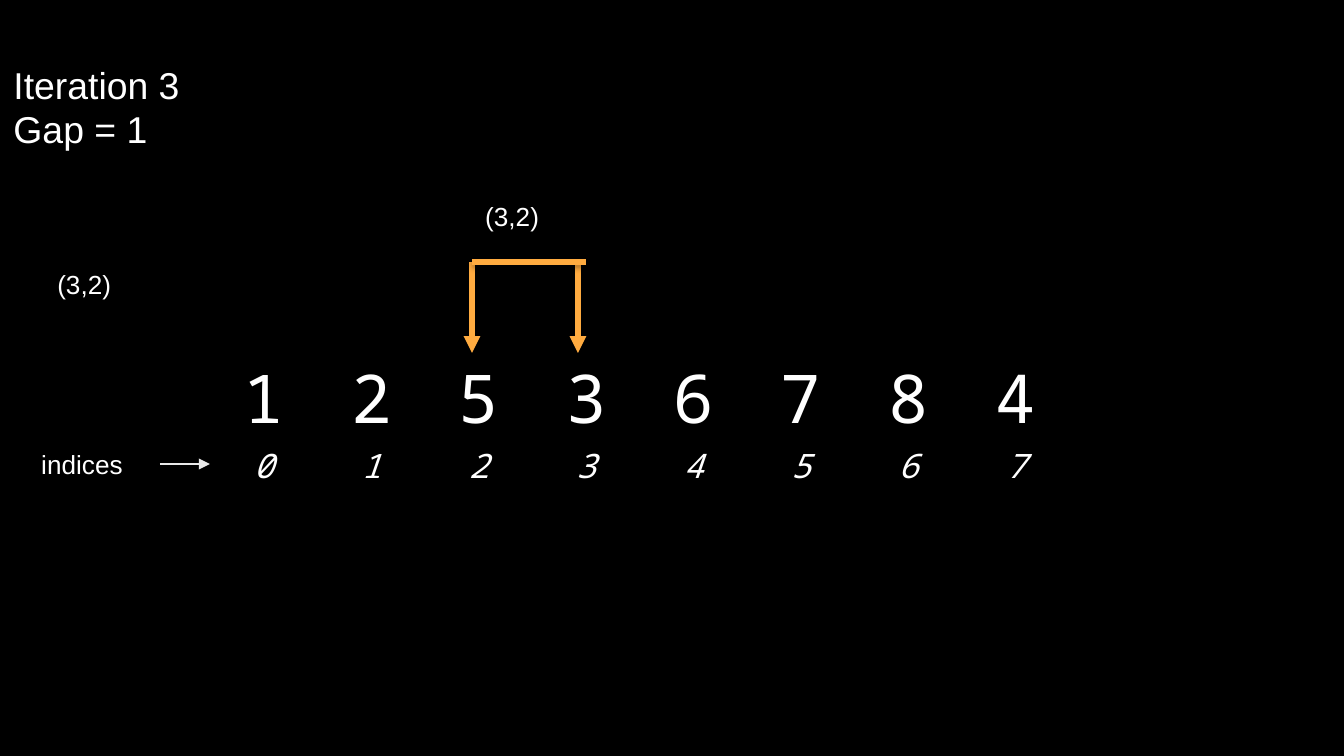
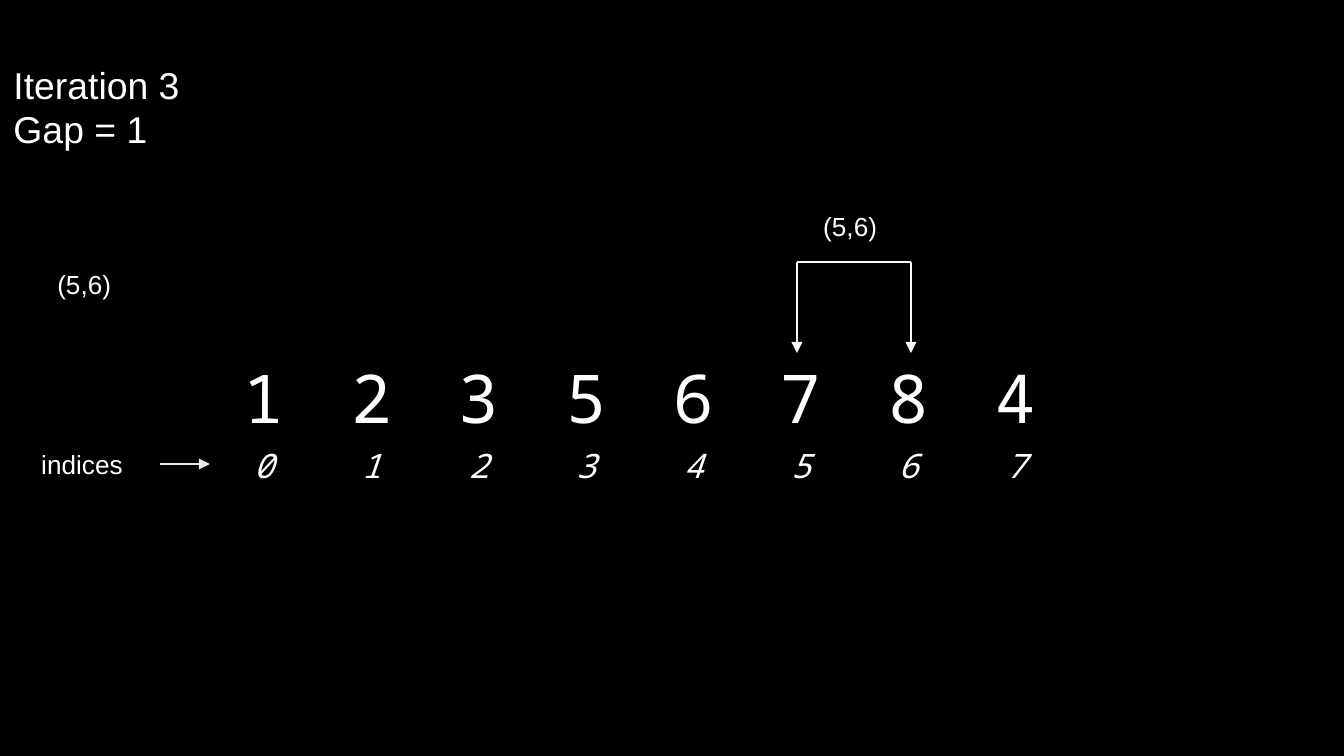
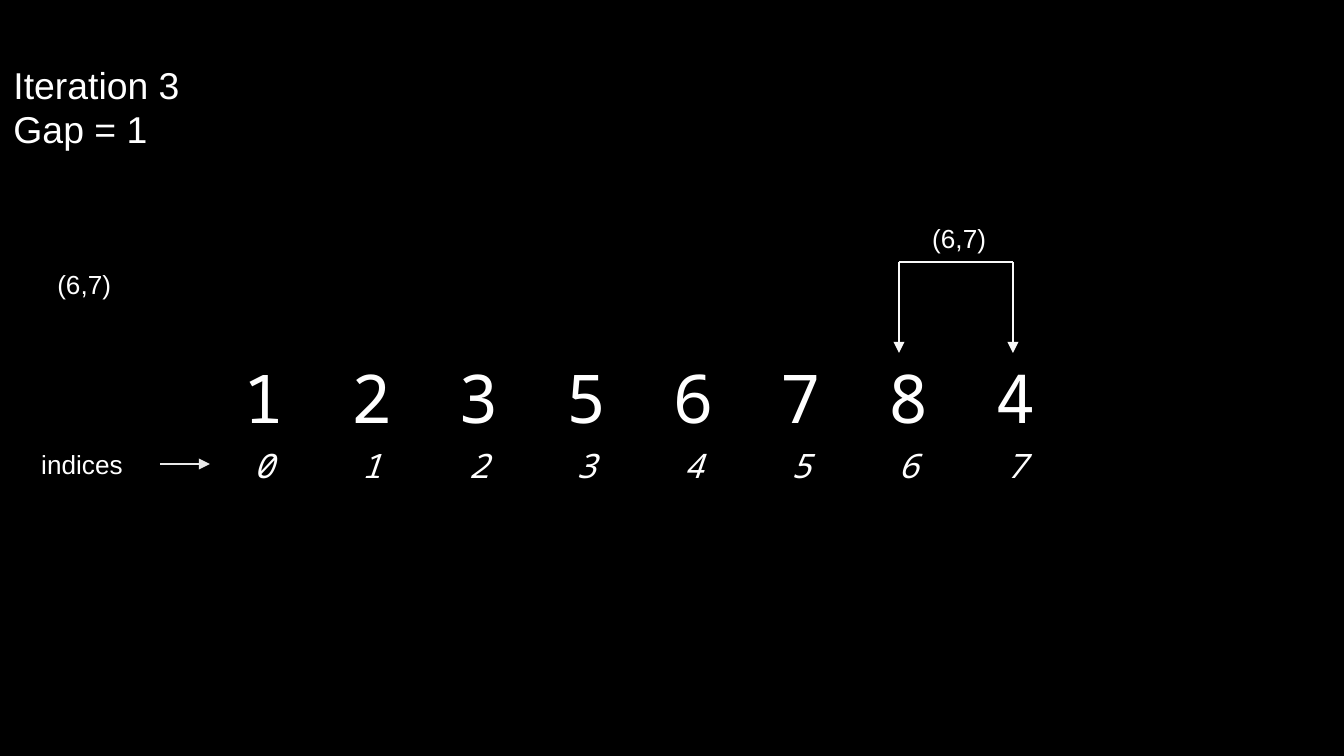
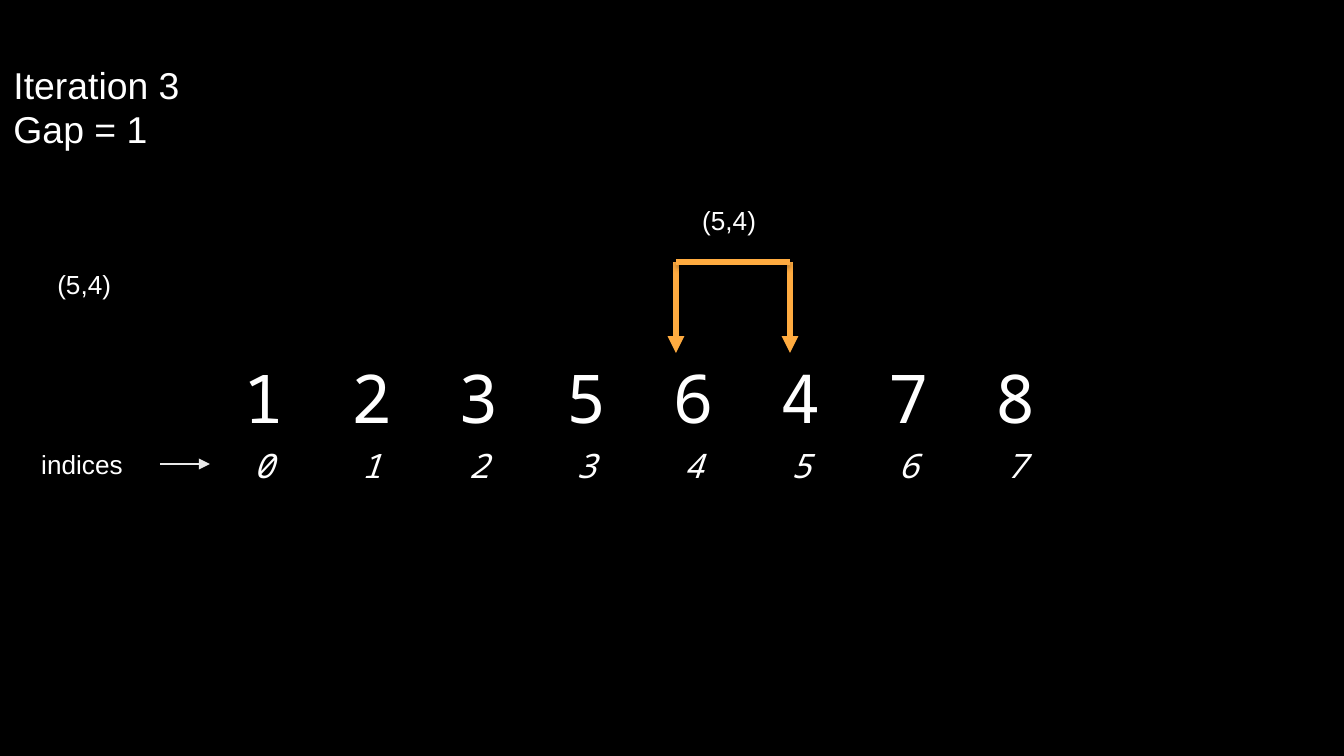
from dataclasses import dataclass

from lxml import etree
from pptx import Presentation
from pptx.dml.color import RGBColor
from pptx.enum import shapes, text
from pptx.oxml import ns
from pptx.util import Emu, Pt

EMU_PER_PX = 914400 / 134.4
PLAIN_TABLE_STYLE = "{2D5ABB26-0587-4C30-8999-92F81FD0307C}"
TITLE_ONLY = 5


@dataclass(frozen=True)
class Theme:
    background: str = "000000"
    ink: str = "FFFFFF"
    pointer: str = "E9E9E9"
    compare: str = "F9F9F9"
    swap: str = "FFAB40"
    sans: str = "Arial"
    mono: str = "Noto Sans Mono"
    title_size: int = 20
    label_size: int = 14
    value_size: int = 36
    index_size: int = 18
    thin: float = 0.75
    thick: float = 3


@dataclass(frozen=True)
class Frame:
    left: int
    top: int
    width: int
    height: int


@dataclass(frozen=True)
class Row:
    frame: Frame
    size: int
    italic: bool = False


@dataclass(frozen=True)
class Step:
    values: str
    pair: str
    left: int
    right: int
    bar_end: int
    label_left: int
    label_top: int
    swapped: bool = False


THEME = Theme()
TITLE = "Iteration 3\nGap = 1"
TITLE_FRAME = Frame(0, 55, 270, 149)
VALUE_ROW = Row(Frame(210, 339, 860, 108), THEME.value_size)
INDEX_ROW = Row(Frame(210, 430, 860, 55), THEME.index_size, italic=True)
INDICES_FRAME = Frame(28, 442, 132, 44)
PAIR_FRAME = Frame(44, 262, 101, 46)
BRACKET_TOP, BRACKET_BOTTOM = 262, 353
CELL_MARGIN = 13

STEPS = [
    Step("12536784", "(3,2)", 472, 578, 586, 472, 194, swapped=True),
    Step("12356784", "(5,6)", 797, 911, 911, 810, 204),
    Step("12356784", "(6,7)", 899, 1013, 1013, 919, 216),
    Step("12356478", "(5,4)", 676, 790, 790, 689, 198, swapped=True),
]


def px(length: float) -> Emu:
    return Emu(round(length * EMU_PER_PX))


def bounds(frame: Frame) -> tuple:
    return px(frame.left), px(frame.top), px(frame.width), px(frame.height)


def style_text(text_frame, size: int, font: str, align, italic: bool = False) -> None:
    for para in text_frame.paragraphs:
        para.alignment = align
        for span in para.runs:
            span.font.size = Pt(size)
            span.font.name = font
            span.font.italic = italic
            span.font.color.rgb = RGBColor.from_string(THEME.ink)


def add_title(page) -> None:
    title = page.shapes.title
    title.left, title.top, title.width, title.height = bounds(TITLE_FRAME)
    title.text_frame.text = TITLE
    title.text_frame.vertical_anchor = text.MSO_ANCHOR.TOP
    title.text_frame.auto_size = text.MSO_AUTO_SIZE.NONE
    style_text(title.text_frame, THEME.title_size, THEME.sans, text.PP_ALIGN.LEFT)


def add_label(page, words: str, frame: Frame):
    box = page.shapes.add_textbox(*bounds(frame))
    box.text_frame.word_wrap = True
    box.text_frame.text = words
    style_text(box.text_frame, THEME.label_size, THEME.sans, text.PP_ALIGN.LEFT)
    return box


def add_row(page, digits: str, row: Row) -> None:
    holder = page.shapes.add_table(1, len(digits), *bounds(row.frame))
    holder.element.find(".//" + ns.qn("a:tableStyleId")).text = PLAIN_TABLE_STYLE
    table = holder.table
    table.first_row = False
    table.horz_banding = False
    for cell, digit in zip(table.iter_cells(), digits):
        cell.fill.background()
        cell.vertical_anchor = text.MSO_ANCHOR.MIDDLE
        cell.margin_left = cell.margin_right = px(CELL_MARGIN)
        cell.margin_top = cell.margin_bottom = px(CELL_MARGIN)
        cell.text_frame.text = digit
        style_text(cell.text_frame, row.size, THEME.mono, text.PP_ALIGN.CENTER, row.italic)


def add_shadow(effects) -> None:
    shadow = etree.SubElement(effects, ns.qn("a:outerShdw"), blurRad="40000",
                              dist="23000", dir="5400000", rotWithShape="0")
    color = etree.SubElement(shadow, ns.qn("a:srgbClr"), val="000000")
    etree.SubElement(color, ns.qn("a:alpha"), val="35000")


def add_line(page, start: tuple, end: tuple, color: str, weight: float,
             arrow: bool = False, shadow: bool = False):
    line = page.shapes.add_connector(
        shapes.MSO_CONNECTOR.STRAIGHT, *map(px, start), *map(px, end))
    line.line.color.rgb = RGBColor.from_string(color)
    line.line.width = Pt(weight)
    if arrow:
        etree.SubElement(line.line._get_or_add_ln(), ns.qn("a:tailEnd"), type="triangle")
    effects = etree.SubElement(line.element.spPr, ns.qn("a:effectLst"))
    if shadow:
        add_shadow(effects)
    return line


def add_indices_pointer(page) -> None:
    label = add_label(page, "indices", INDICES_FRAME)
    middle = INDICES_FRAME.top + INDICES_FRAME.height // 2
    start = INDICES_FRAME.left + INDICES_FRAME.width
    pointer = add_line(page, (start, middle), (INDEX_ROW.frame.left, middle),
                       THEME.pointer, THEME.thin, arrow=True)
    pointer.begin_connect(label, 3)


def add_bracket(page, step: Step) -> None:
    color, weight = (THEME.swap, THEME.thick) if step.swapped else (THEME.compare, THEME.thin)
    for x in (step.left, step.right):
        add_line(page, (x, BRACKET_TOP), (x, BRACKET_BOTTOM), color, weight,
                 arrow=True, shadow=step.swapped)
    add_line(page, (step.left, BRACKET_TOP), (step.bar_end, BRACKET_TOP), color, weight,
             shadow=step.swapped)
    add_label(page, step.pair, Frame(step.label_left, step.label_top,
                                     PAIR_FRAME.width, PAIR_FRAME.height))


def add_step(deck, step: Step) -> None:
    page = deck.slides.add_slide(deck.slide_layouts[TITLE_ONLY])
    add_title(page)
    add_row(page, step.values, VALUE_ROW)
    add_row(page, "".join(map(str, range(len(step.values)))), INDEX_ROW)
    add_indices_pointer(page)
    add_label(page, step.pair, PAIR_FRAME)
    add_bracket(page, step)


def main() -> None:
    deck = Presentation()
    deck.slide_width, deck.slide_height = px(1344), px(756)
    fill = deck.slide_master.background.fill
    fill.solid()
    fill.fore_color.rgb = RGBColor.from_string(THEME.background)
    for step in STEPS:
        add_step(deck, step)
    deck.save("out.pptx")


if __name__ == "__main__":
    main()
